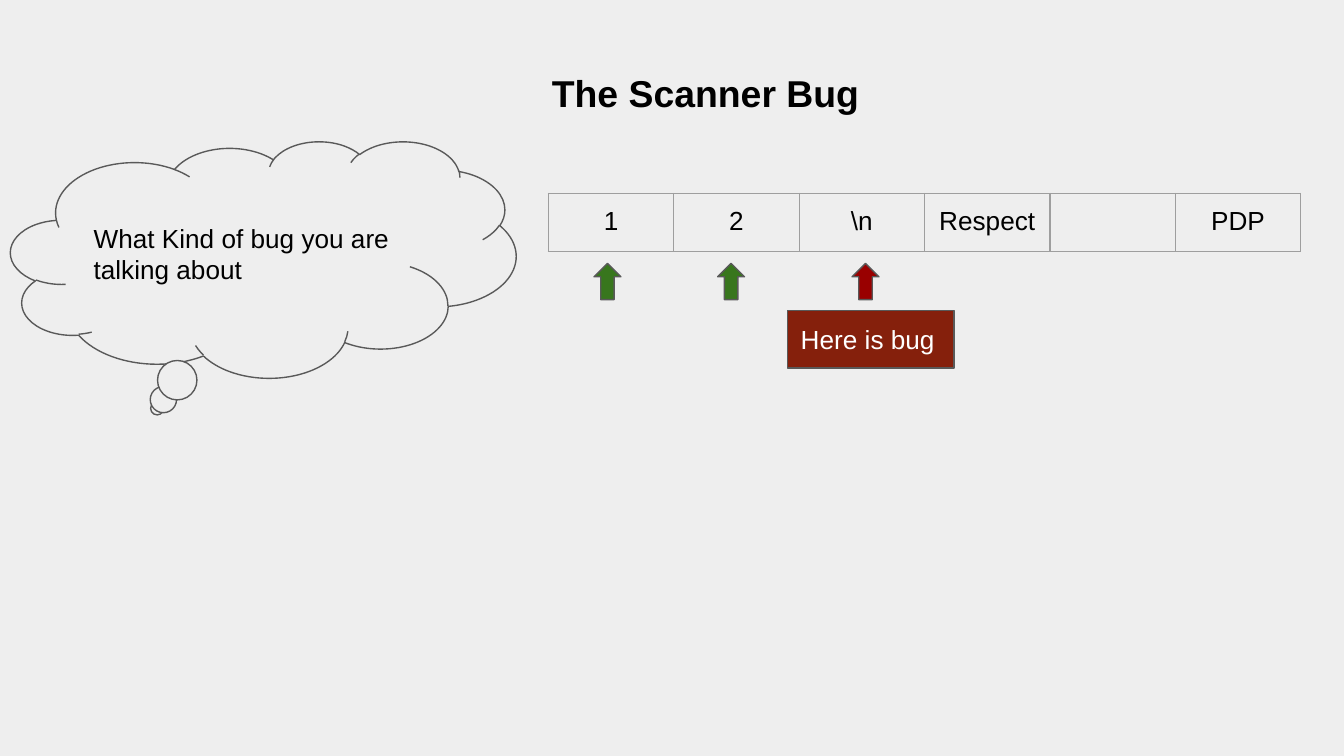
from lxml import etree
from pptx import Presentation
from pptx.dml.color import RGBColor
from pptx.enum.shapes import MSO_SHAPE
from pptx.enum.text import MSO_ANCHOR, PP_ALIGN
from pptx.oxml.ns import qn
from pptx.util import Inches, Pt

CLOUD = MSO_SHAPE.CLOUD_CALLOUT
ARROW = MSO_SHAPE.UP_ARROW
RECT = MSO_SHAPE.RECTANGLE
MIDDLE = MSO_ANCHOR.MIDDLE
TOP = MSO_ANCHOR.TOP
LEFT = PP_ALIGN.LEFT
CENTER = PP_ALIGN.CENTER

PAPER = RGBColor(0xEE, 0xEE, 0xEE)
BLACK = RGBColor(0, 0, 0)
WHITE = RGBColor(0xFF, 0xFF, 0xFF)
GRAY = RGBColor(0x59, 0x59, 0x59)
GRID = RGBColor(0x9E, 0x9E, 0x9E)
GREEN = RGBColor(0x38, 0x76, 0x1D)
RED = RGBColor(0x99, 0, 0)
BROWN = RGBColor(0x85, 0x20, 0x0C)

FONT = "Arial"
PAD = Inches(0.1)
TOKENS = ["1", "2", "\\n", "Respect ", "", "PDP"]


def write(para, text, size=14, color=BLACK, bold=False, align=LEFT):
    para.text = text
    para.alignment = align
    for run in para.runs:
        run.font.name = FONT
        run.font.size = Pt(size)
        run.font.bold = bold
        run.font.color.rgb = color


def set_frame(frame, anchor):
    frame.word_wrap = True
    frame.vertical_anchor = anchor
    frame.margin_left = frame.margin_right = PAD
    frame.margin_top = frame.margin_bottom = PAD


def add_title(slide, text):
    box = slide.shapes.add_textbox(
        Inches(0.34), Inches(0.37), Inches(9.32), Inches(0.63))
    set_frame(box.text_frame, TOP)
    para = box.text_frame.paragraphs[0]
    write(para, text, size=20, bold=True, align=CENTER)
    para.line_spacing = 1.15
    props = para._p.get_or_add_pPr()
    props.set("marL", str(Inches(0.5)))
    props.set("indent", "0")


def add_shape(slide, kind, left, top, width, height, fill,
              text="", color=BLACK):
    shape = slide.shapes.add_shape(
        kind, Inches(left), Inches(top), Inches(width), Inches(height))
    shape.shadow.inherit = False
    shape.fill.solid()
    shape.fill.fore_color.rgb = fill
    shape.line.color.rgb = GRAY
    shape.line.width = Pt(0.75)
    if text:
        set_frame(shape.text_frame, MIDDLE)
        write(shape.text_frame.paragraphs[0], text, color=color)
    return shape


def set_border(cell):
    props = cell._tc.get_or_add_tcPr()
    for i, side in enumerate(("a:lnL", "a:lnR", "a:lnT", "a:lnB")):
        line = etree.Element(qn(side), w=str(Pt(0.75)))
        fill = etree.SubElement(line, qn("a:solidFill"))
        etree.SubElement(fill, qn("a:srgbClr"), val=str(GRID))
        props.insert(i, line)


def add_tape(slide, tokens):
    width = Inches(5.6)
    table = slide.shapes.add_table(
        1, len(tokens), Inches(4.08), Inches(1.44), width, Inches(0.39)).table
    table.first_row = False
    table.horz_banding = False
    for i, token in enumerate(tokens):
        table.columns[i].width = width // len(tokens)
        cell = table.cell(0, i)
        cell.fill.background()
        set_border(cell)
        cell.margin_left = cell.margin_right = PAD
        # A blank cell has taller default text, so it gets less padding
        cell.margin_top = cell.margin_bottom = PAD if token else Inches(0.03)
        if token:
            write(cell.text_frame.paragraphs[0], token, align=CENTER)


def main():
    deck = Presentation()
    deck.slide_width = Inches(10)
    deck.slide_height = Inches(10) * 9 // 16
    slide = deck.slides.add_slide(deck.slide_layouts[6])
    slide.background.fill.solid()
    slide.background.fill.fore_color.rgb = PAPER

    # Title and question
    add_title(slide, "The Scanner Bug")
    cloud = add_shape(slide, CLOUD, 0.08, 1.05, 3.76, 1.76, PAPER,
                      "What Kind of bug you are talking about")
    cloud.adjustments[0] = -0.21
    cloud.adjustments[1] = 0.63

    # Input tokens with the scanner's steps below
    add_tape(slide, TOKENS)
    for left, color in ((4.42, GREEN), (5.34, GREEN), (6.34, RED)):
        add_shape(slide, ARROW, left, 1.96, 0.2, 0.27, color)

    # Bug label
    add_shape(slide, RECT, 5.86, 2.31, 1.24, 0.43, BROWN,
              "Here is bug", WHITE)

    deck.save("out.pptx")


if __name__ == "__main__":
    main()
